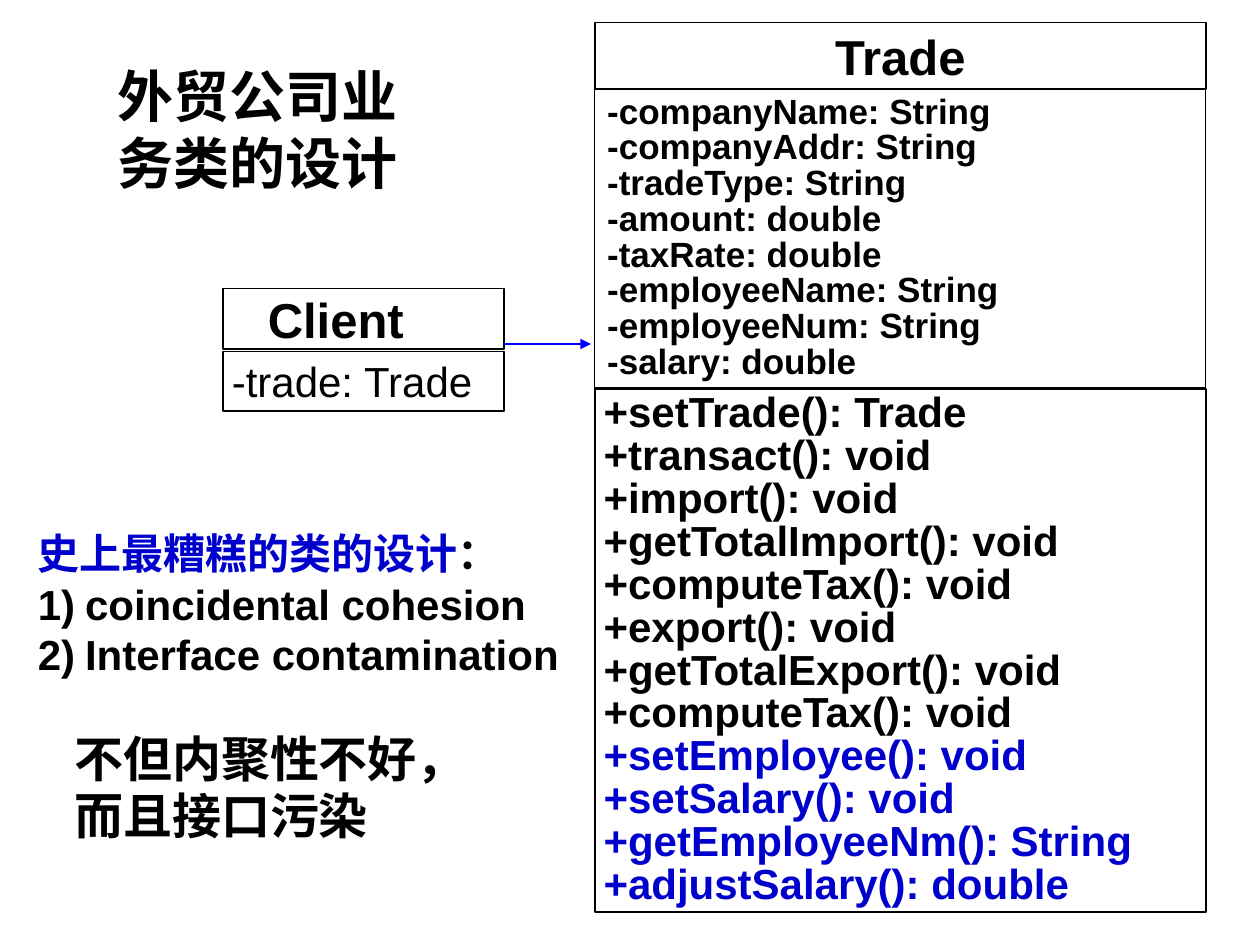
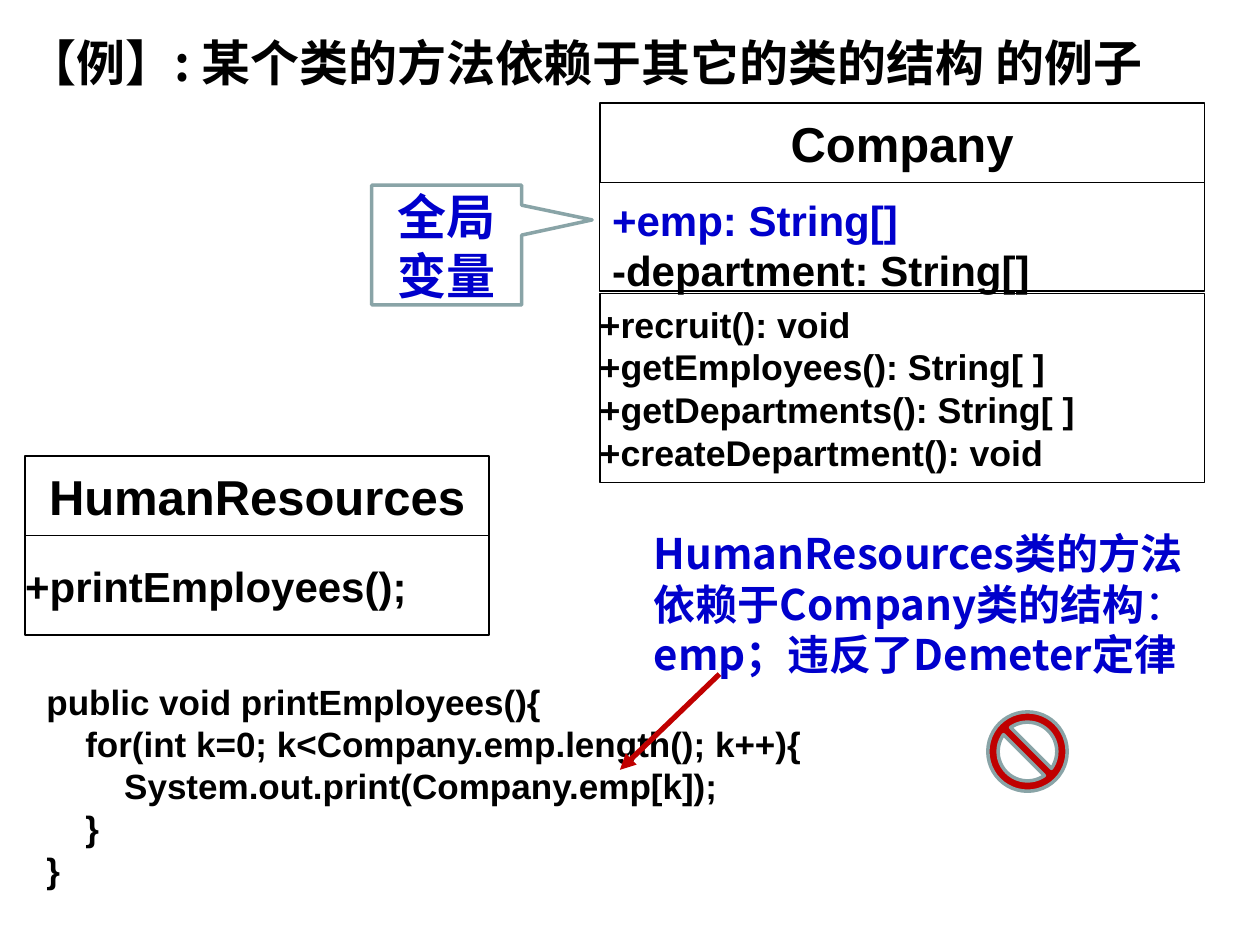
from dataclasses import dataclass

from lxml.etree import SubElement
from pptx import Presentation
from pptx.dml.color import RGBColor
from pptx.enum.shapes import MSO_CONNECTOR as Connector, MSO_SHAPE as Shape
from pptx.enum.text import MSO_ANCHOR as Anchor, MSO_AUTO_SIZE as AutoSize, PP_ALIGN as Align
from pptx.oxml.ns import qn
from pptx.util import Inches, Pt


@dataclass(frozen=True)
class Theme:
    latin: str = "Arial"
    chinese: str = "Noto Sans CJK SC"
    black: str = "000000"
    white: str = "FFFFFF"
    blue: str = "0000CC"
    arrow_blue: str = "0000FF"
    red: str = "C00000"
    grey: str = "89A4A7"
    heading: float = 32
    name: float = 28
    text: float = 24
    member: float = 20.4
    code: float = 20


@dataclass(frozen=True)
class Span:
    text: str
    color: str = Theme.black
    bold: bool = True


THEME = Theme()
CELL = (0.07, 0.03, 0.07, 0.03)
FLUSH = (0, 0.03, 0, 0.03)
ROOMY = (0.1, 0.05, 0.1, 0.05)


def rgb(color):
    return RGBColor.from_string(color)


class SlideBuilder:
    def __init__(self, theme):
        self.theme = theme
        self.deck = Presentation()
        self.deck.slide_width, self.deck.slide_height = Inches(10), Inches(7.5)
        self.page = None

    def new_page(self, layout):
        self.page = self.deck.slides.add_slide(self.deck.slide_layouts[layout])

    # Text
    def style(self, font, size, color, bold, name):
        font.size, font.bold, font.name = Pt(size), bold, name
        font.color.rgb = rgb(color)

    def east_asian(self, properties, name):
        SubElement(properties, qn("a:ea")).set("typeface", name)

    def set_text(self, box, lines, size, name=None, color=None, bold=True, align=Align.LEFT,
                 anchor=Anchor.TOP, insets=ROOMY, spacing=1.0, before=0, wrap=True,
                 numbered=False):
        """Each line is a string, a Span, or a list of Spans."""
        name = name or self.theme.latin
        frame = box.text_frame
        frame.auto_size, frame.word_wrap, frame.vertical_anchor = AutoSize.NONE, wrap, anchor
        (frame.margin_left, frame.margin_top,
         frame.margin_right, frame.margin_bottom) = map(Inches, insets)
        for index, line in enumerate(lines):
            para = frame.paragraphs[0] if index == 0 else frame.add_paragraph()
            para.alignment, para.line_spacing = align, spacing
            para.space_before = Pt(before if index else 0)
            properties = para._p.get_or_add_pPr()
            if numbered and index:
                SubElement(properties, qn("a:buAutoNum")).set("type", "arabicParenR")
            elif numbered:
                SubElement(properties, qn("a:buNone"))
            if isinstance(line, list):
                for span in line:
                    run = para.add_run()
                    run.text = span.text
                    self.style(run.font, size, span.color, span.bold, name)
                    self.east_asian(run._r.get_or_add_rPr(), name)
                continue
            if isinstance(line, str):
                line = Span(line, color or self.theme.black, bold)
            para.add_run().text = line.text
            self.style(para.font, size, line.color, line.bold, name)
            self.east_asian(properties.find(qn("a:defRPr")), name)

    def placed(self, box, at):
        box.left, box.top, box.width, box.height = map(Inches, at)
        return box

    def title(self, at, lines, size, **options):
        box = self.placed(self.page.shapes.title, at)
        self.set_text(box, lines, size, self.theme.chinese, **options)

    def numbered_list(self, at, lines, **options):
        box = self.placed(self.page.placeholders[1], at)
        self.set_text(box, lines, self.theme.text, numbered=True, **options)

    def note(self, at, lines, size, **options):
        box = self.page.shapes.add_textbox(*map(Inches, at))
        self.set_text(box, lines, size, **options)

    # Shapes
    def shape(self, kind, at, fill, line, width, adjustments=()):
        shape = self.page.shapes.add_shape(kind, *map(Inches, at))
        shape.shadow.inherit = False
        shape.fill.solid()
        shape.fill.fore_color.rgb = rgb(fill)
        shape.line.color.rgb, shape.line.width = rgb(line), Pt(width)
        for index, value in enumerate(adjustments):
            shape.adjustments[index] = value
        return shape

    def compartment(self, at, lines, size, line_width=1, anchor=Anchor.MIDDLE, **options):
        box = self.shape(Shape.RECTANGLE, at, self.theme.white, self.theme.black, line_width)
        self.set_text(box, lines, size, anchor=anchor, **options)

    def class_name(self, at, name, insets=CELL):
        self.compartment(at, [name], self.theme.name, align=Align.CENTER, insets=insets)

    def callout(self, at, lines, adjustments):
        box = self.shape(Shape.RECTANGULAR_CALLOUT, at, self.theme.white, self.theme.grey, 2,
                         adjustments)
        self.set_text(box, lines, self.theme.name, self.theme.chinese, self.theme.blue,
                      align=Align.CENTER, anchor=Anchor.MIDDLE)

    def arrow(self, start, end, color, width):
        line = self.page.shapes.add_connector(Connector.STRAIGHT, *map(Inches, start + end))
        line.line.color.rgb, line.line.width = rgb(color), Pt(width)
        properties = line._element.spPr
        SubElement(properties.find(qn("a:ln")), qn("a:tailEnd")).set("type", "triangle")
        SubElement(properties, qn("a:effectLst"))


def trade_page(slide):
    theme = slide.theme
    slide.new_page(1)
    slide.title((0.91, 0.44, 2.36, 1.17), ["外贸公司业", "务类的设计"], theme.heading,
                insets=(0.02, 0.05, 0.02, 0.05))

    # Client class and its link
    slide.class_name((1.77, 2.29, 2.23, 0.48), "Client", (0.07, 0.03, 0.51, 0.03))
    slide.compartment((1.77, 2.79, 2.23, 0.47), ["-trade: Trade"], theme.text,
                      bold=False, insets=CELL)
    slide.arrow((4, 2.73), (4.69, 2.73), theme.arrow_blue, 1)

    # Trade class
    left, width = 4.72, 4.85
    slide.class_name((left, 0.18, width, 0.53), "Trade")
    methods = ["setTrade(): Trade", "transact(): void", "import(): void",
               "getTotalImport(): void", "computeTax(): void", "export(): void",
               "getTotalExport(): void", "computeTax(): void"]
    staff_methods = ["setEmployee(): void", "setSalary(): void",
                     "getEmployeeNm(): String", "adjustSalary(): double"]
    slide.compartment((left, 3.09, width, 4.15),
                      ["+" + method for method in methods]
                      + [Span("+" + method, theme.blue) for method in staff_methods],
                      theme.text, insets=CELL, spacing=0.85)
    fields = ["companyName: String", "companyAddr: String", "tradeType: String",
              "amount: double", "taxRate: double", "employeeName: String",
              "employeeNum: String", "salary: double"]
    slide.compartment((left, 0.71, width, 2.37), ["-" + field for field in fields],
                      theme.code, line_width=0.75, anchor=Anchor.TOP, spacing=0.85)

    # Verdict
    slide.numbered_list((0.2, 4.14, 4.36, 1.3),
                        [[Span("史上最糟糕的类的设计", theme.blue), Span("：")],
                         "coincidental cohesion", "Interface contamination"])
    slide.note((0.59, 5.82, 3.31, 0.93), ["不但内聚性不好，", "而且接口污染"], theme.name,
               name=theme.chinese, insets=(0, 0.05, 0, 0.05), spacing=0.8, before=6)


def company_page(slide):
    theme = slide.theme
    slide.new_page(5)
    slide.title((0.12, 0.21, 9.45, 0.57),
                ["【例】: 某个类的方法依赖于其它的类的结构 的例子"], theme.name)

    # HumanResources class
    slide.class_name((0.2, 3.62, 3.68, 0.63), "HumanResources", FLUSH)
    slide.compartment((0.2, 4.25, 3.68, 0.79), ["+printEmployees();"], theme.text, insets=FLUSH)

    # Company class
    left, width = 4.76, 4.8
    slide.class_name((left, 0.82, width, 0.63), "Company", FLUSH)
    slide.compartment((left, 2.33, width, 1.5),
                      ["+recruit(): void", "+getEmployees(): String[ ]",
                       "+getDepartments(): String[ ]", "+createDepartment(): void"],
                      theme.member, insets=FLUSH)
    slide.compartment((left, 1.45, width, 0.86),
                      [Span("+emp: String[]", theme.blue), "-department: String[]"],
                      theme.text, line_width=0.75, anchor=Anchor.TOP,
                      insets=(0.1, 0.09, 0.1, 0.01))

    # Code and the fault in it
    slide.note((0.27, 5.35, 6.62, 1.77),
               ["public void printEmployees(){",
                "    for(int k=0; k<Company.emp.length(); k++){",
                "        System.out.print(Company.emp[k]);",
                "    }",
                "}"], theme.code)
    slide.note((5.09, 4.14, 4.63, 1.3),
               ["HumanResources类的方法",
                [Span("依赖于Company类的结构", theme.blue), Span("：", theme.blue, False)],
                "emp；违反了Demeter定律"],
               theme.text, name=theme.chinese, color=theme.blue, wrap=False)
    slide.arrow((5.71, 5.35), (4.92, 6.11), theme.red, 3)
    slide.shape(Shape.NO_SYMBOL, (7.84, 5.65, 0.63, 0.63), theme.red, theme.grey, 2, [0.13])
    slide.callout((2.95, 1.47, 1.19, 0.95), ["全局", "变量"], (0.97, -0.21))


def main():
    slide = SlideBuilder(THEME)
    trade_page(slide)
    company_page(slide)
    slide.deck.save("out.pptx")


if __name__ == "__main__":
    main()
